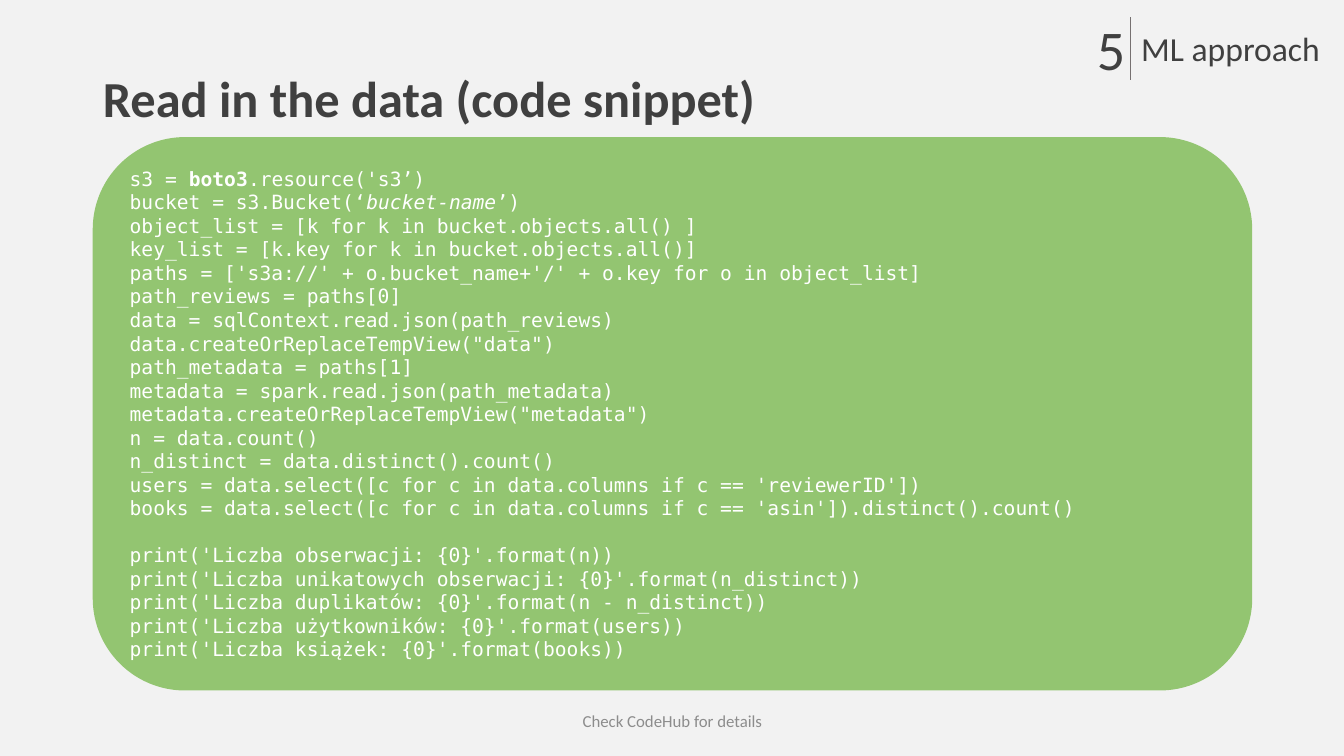
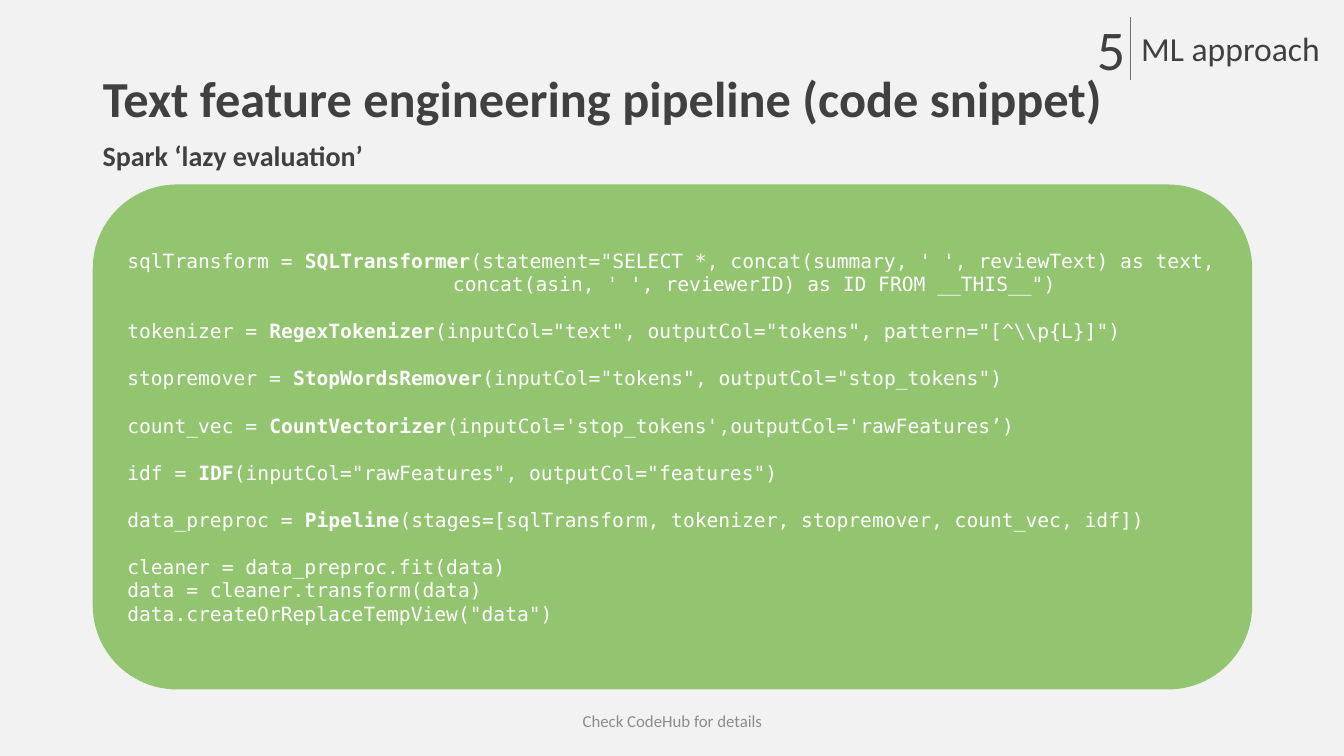
"""Build two code snippet slides with a shared section header and footer."""
from lxml import etree
from pptx import Presentation
from pptx.dml.color import RGBColor
from pptx.enum.shapes import MSO_CONNECTOR, MSO_SHAPE
from pptx.enum.text import MSO_ANCHOR, MSO_AUTO_SIZE, PP_ALIGN
from pptx.oxml.ns import qn
from pptx.util import Inches, Pt

BACKGROUND = RGBColor(0xF2, 0xF2, 0xF2)
DARK = RGBColor(0x40, 0x40, 0x40)
OUTLINE = RGBColor(0x59, 0x59, 0x59)
RULE = RGBColor(0x76, 0x71, 0x71)
GREEN = RGBColor(0x93, 0xC5, 0x71)
MUTED = RGBColor(0x8C, 0x8C, 0x8C)
WHITE = RGBColor(0xFF, 0xFF, 0xFF)

LEFT, WIDTH = Inches(0.92), Inches(11.5)
CODE_GAP = Pt(16.8)
CODE_INDENT = Inches(3.23)

READ_CODE = [
    [
        [("s3 = ", ""), ("boto3", "b"), (".resource('s3’)", "")],
        [("bucket = s3.Bucket(‘", ""), ("bucket-name", "i"), ("’)", "")],
        "object_list = [k for k in bucket.objects.all() ]",
        "key_list = [k.key for k in bucket.objects.all()]",
        "paths = ['s3a://' + o.bucket_name+'/' + o.key for o in object_list]",
        "path_reviews = paths[0]",
        "data = sqlContext.read.json(path_reviews)",
        'data.createOrReplaceTempView("data")',
        "path_metadata = paths[1]",
        "metadata = spark.read.json(path_metadata)",
        'metadata.createOrReplaceTempView("metadata")',
        "n = data.count()",
        "n_distinct = data.distinct().count()",
        "users = data.select([c for c in data.columns if c == 'reviewerID'])",
        "books = data.select([c for c in data.columns if c == 'asin']).distinct().count()",
    ],
    [
        "print('Liczba obserwacji: {0}'.format(n))",
        "print('Liczba unikatowych obserwacji: {0}'.format(n_distinct))",
        "print('Liczba duplikatów: {0}'.format(n - n_distinct))",
        "print('Liczba użytkowników: {0}'.format(users))",
        "print('Liczba książek: {0}'.format(books))",
    ],
]

PIPELINE_CODE = [
    [
        [("sqlTransform = ", ""), ("SQLTransformer", "b"),
         ("(statement=\"SELECT *, concat(summary, ' ', reviewText) as text,", "")],
        [("concat(asin, ' ', reviewerID) as ID FROM __THIS__\")", "indent")],
    ],
    [[("tokenizer = ", ""), ("RegexTokenizer", "b"),
      (r'(inputCol="text", outputCol="tokens", pattern="[^\\p{L}]")', "")]],
    [[("stopremover = ", ""), ("StopWordsRemover", "b"),
      ('(inputCol="tokens", outputCol="stop_tokens")', "")]],
    [[("count_vec = ", ""), ("CountVectorizer", "b"),
      ("(inputCol='stop_tokens',outputCol='rawFeatures’)", "")]],
    [[("idf = ", ""), ("IDF", "b"),
      ('(inputCol="rawFeatures", outputCol="features")', "")]],
    [[("data_preproc = ", ""), ("Pipeline", "b"),
      ("(stages=[sqlTransform, tokenizer, stopremover, count_vec, idf])", "")]],
    [
        "cleaner = data_preproc.fit(data)",
        "data = cleaner.transform(data)",
        'data.createOrReplaceTempView("data")',
    ],
]

SLIDES = [
    ("Read in the data (code snippet)", None, 1.36, 5.49, READ_CODE),
    ("Text feature engineering pipeline (code snippet)",
     "Spark ‘lazy evaluation’", 1.83, 5.01, PIPELINE_CODE),
]


def add_run(p, text, size, color=DARK, bold=False, font="Calibri"):
    r = p.add_run()
    r.text = text
    r.font.name = font
    r.font.size = Pt(size)
    r.font.bold = bold
    r.font.color.rgb = color
    return r


def add_label(shapes, box, text, size, color=DARK, bold=False, wrap=True):
    tf = shapes.add_textbox(*[Inches(v) for v in box]).text_frame
    tf.word_wrap = wrap
    tf.auto_size = MSO_AUTO_SIZE.NONE if wrap else MSO_AUTO_SIZE.SHAPE_TO_FIT_TEXT
    tf.vertical_anchor = MSO_ANCHOR.MIDDLE if wrap else MSO_ANCHOR.TOP
    p = tf.paragraphs[0]
    return p, add_run(p, text, size, color, bold)


prs = Presentation()
prs.slide_width, prs.slide_height = Inches(13.33), Inches(7.5)
fill = prs.slide_master.background.fill
fill.solid()
fill.fore_color.rgb = BACKGROUND

for title, subtitle, top, height, code in SLIDES:
    s = prs.slides.add_slide(prs.slide_layouts[5])

    sp = s.shapes.title
    sp.left, sp.top, sp.width, sp.height = LEFT, Inches(0.66), WIDTH, Inches(0.68)
    tf = sp.text_frame
    tf.auto_size = MSO_AUTO_SIZE.NONE
    tf.vertical_anchor = MSO_ANCHOR.MIDDLE
    p = tf.paragraphs[0]
    p.alignment = PP_ALIGN.LEFT
    p.line_spacing = 0.9
    add_run(p, title, 36, bold=True)

    header = s.shapes.add_group_shape().shapes
    p, r = add_label(header, (10.78, 0.09, 0.49, 0.77), "5", 40, wrap=False)
    ln = etree.Element(qn("a:ln"), w=str(Pt(1.5)))
    solid = etree.SubElement(ln, qn("a:solidFill"))
    etree.SubElement(solid, qn("a:srgbClr"), val=str(OUTLINE))
    r.font._element.insert(0, ln)
    add_label(header, (11.22, 0.23, 1.99, 0.5), "ML approach", 24, wrap=False)
    rule = header.add_connector(MSO_CONNECTOR.STRAIGHT, Inches(11.21), Inches(0.17),
                                Inches(11.21), Inches(0.79))
    rule.line.color.rgb = RULE
    rule.line.width = Pt(1)
    etree.SubElement(rule._element.spPr, qn("a:effectLst"))

    if subtitle:
        p, r = add_label(s.shapes, (0.92, 1.32, 11.5, 0.49), subtitle, 20, bold=True)
        p.line_spacing = 0.9

    panel = s.shapes.add_shape(MSO_SHAPE.ROUNDED_RECTANGLE, LEFT, Inches(top),
                               WIDTH, Inches(height))
    panel.shadow.inherit = False
    panel.fill.solid()
    panel.fill.fore_color.rgb = GREEN
    panel.line.fill.background()
    tf = panel.text_frame
    tf.word_wrap = True
    tf.vertical_anchor = MSO_ANCHOR.MIDDLE
    p = tf.paragraphs[0]
    for b, block in enumerate(code):
        for i, line in enumerate(block):
            if b or i:
                p = tf.add_paragraph()
            p.alignment = PP_ALIGN.LEFT
            if b and i == 0:
                p.space_before = CODE_GAP
            runs = [(line, "")] if isinstance(line, str) else line
            for text, style in runs:
                r = add_run(p, text, 14, WHITE, style == "b", "DejaVu Sans Mono")
                r.font.italic = style == "i"
                if style == "indent":
                    p._p.get_or_add_pPr().set("marL", str(CODE_INDENT))

    p, r = add_label(s.shapes, (4.42, 6.95, 4.5, 0.4), "Check CodeHub for details", 12, MUTED)
    p.alignment = PP_ALIGN.CENTER

prs.save("out.pptx")
